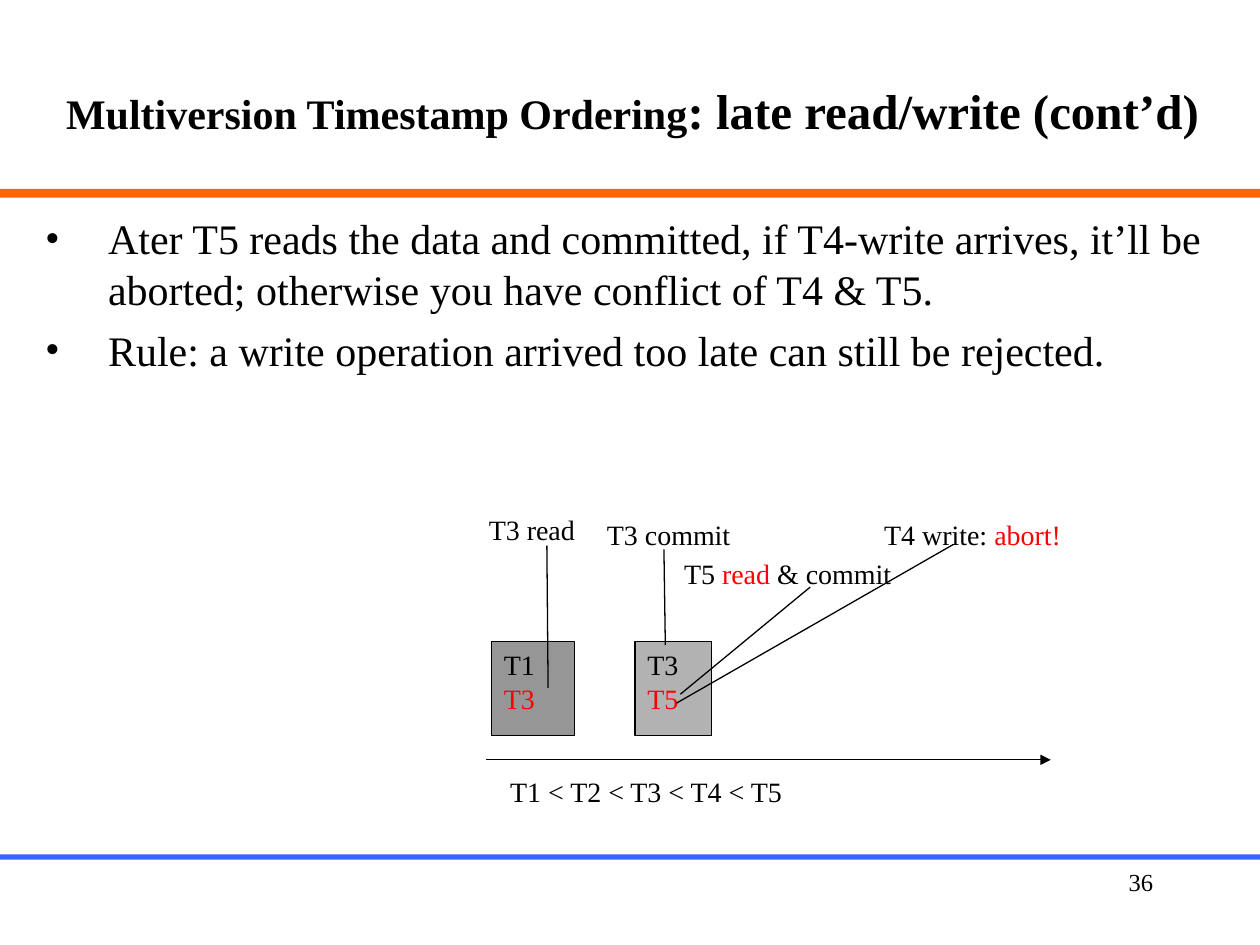
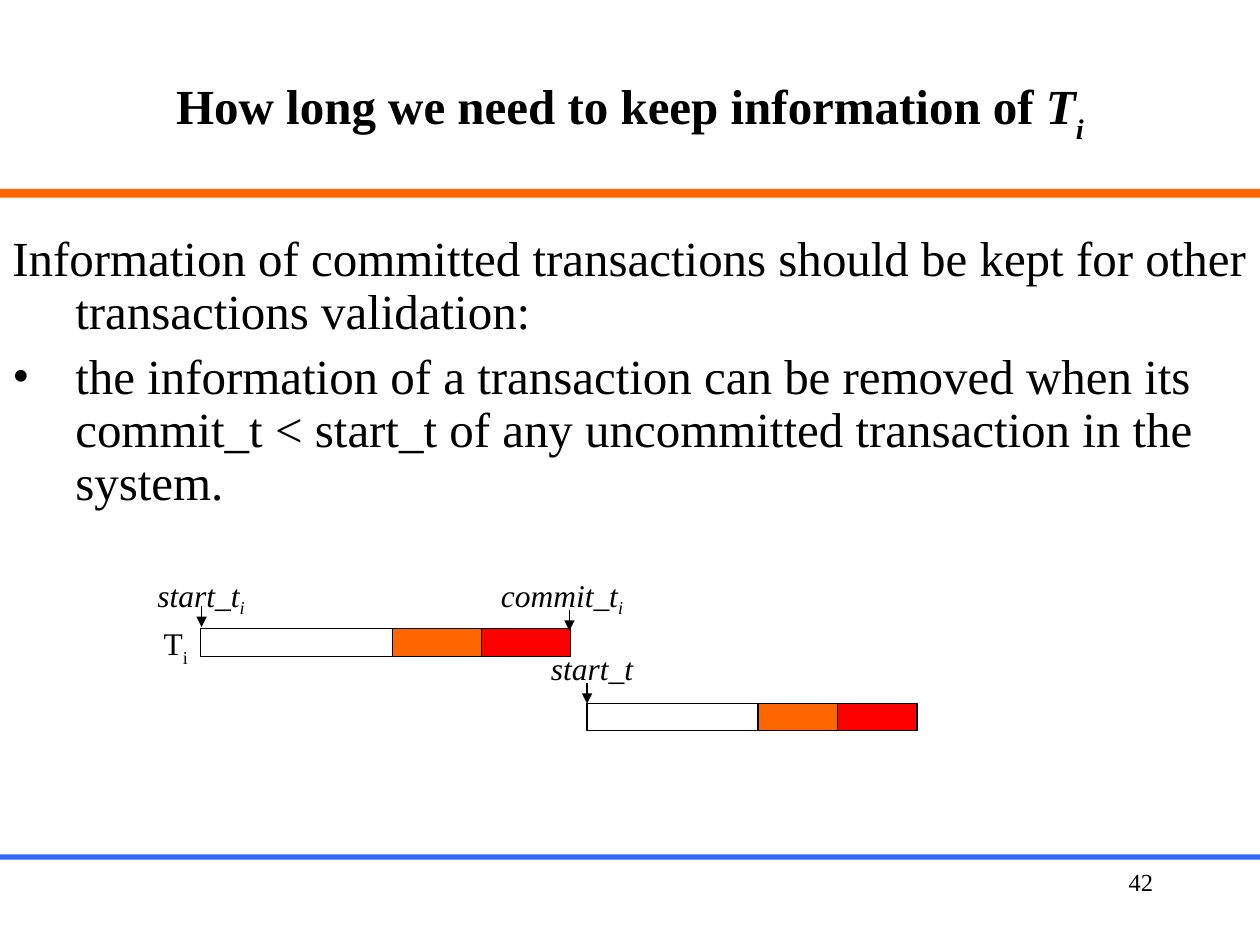
from lxml.etree import SubElement
from pptx import Presentation
from pptx.dml.color import RGBColor
from pptx.enum.shapes import MSO_CONNECTOR, MSO_SHAPE
from pptx.enum.text import MSO_ANCHOR, PP_ALIGN
from pptx.oxml.ns import qn
from pptx.util import Pt

COLORS = {
    "text": "000000",
    "orange": "FF6600",
    "blue": "3366FF",
    "red": "FF0000",
    "dark_gray": "969696",
    "light_gray": "B2B2B2",
}
FONT = "Times New Roman"
RED = {"color": "red"}


def rgb(name):
    return RGBColor.from_string(COLORS[name])


def add_run(p, text, size=16, color="text", bold=False, italic=False, base=0):
    r = p.add_run()
    r.text = text
    r.font.name = FONT
    r.font.size = Pt(size)
    r.font.bold = bold
    r.font.italic = italic
    r.font.color.rgb = rgb(color)
    if base:
        r._r.get_or_add_rPr().set("baseline", str(base * 1000))


def set_indent(p, indent, bullet):
    pPr = p._p.get_or_add_pPr()
    pPr.set("marL", str(Pt(indent)))
    pPr.set("indent", str(-Pt(indent)))
    if bullet:
        SubElement(pPr, qn("a:buFont")).set("typeface", FONT)
        SubElement(pPr, qn("a:buChar")).set("char", "•")
    else:
        SubElement(pPr, qn("a:buNone"))


def write(tf, paragraphs, align=PP_ALIGN.LEFT, anchor=MSO_ANCHOR.TOP, wrap=True,
          indent=0, bullets=(), before=0, spacing=None, **fmt):
    """Each paragraph is a string or a list of (text, run format) pairs."""
    tf.word_wrap = wrap
    tf.vertical_anchor = anchor
    for i, runs in enumerate(paragraphs):
        p = tf.paragraphs[0] if i == 0 else tf.add_paragraph()
        p.alignment = align
        if indent:
            set_indent(p, indent, i in bullets)
        if i and before:
            p.space_before = Pt(before)
        if spacing:
            p.line_spacing = spacing
        for text, extra in [(runs, {})] if isinstance(runs, str) else runs:
            add_run(p, text, **{**fmt, **extra})


def add_text(s, box, paragraphs, **fmt):
    tb = s.shapes.add_textbox(*map(Pt, box))
    write(tb.text_frame, paragraphs, **fmt)


def add_rect(s, box, fill=None, line=True):
    sp = s.shapes.add_shape(MSO_SHAPE.RECTANGLE, *map(Pt, box))
    sp.shadow.inherit = False
    if fill:
        sp.fill.solid()
        sp.fill.fore_color.rgb = rgb(fill)
    else:
        sp.fill.background()
    if line:
        sp.line.color.rgb = rgb("text")
        sp.line.width = Pt(0.75)
    else:
        sp.line.fill.background()
    return sp


def add_line(s, x1, y1, x2, y2, arrow=False):
    c = s.shapes.add_connector(MSO_CONNECTOR.STRAIGHT, Pt(x1), Pt(y1), Pt(x2), Pt(y2))
    c.line.color.rgb = rgb("text")
    c.line.width = Pt(0.75)
    if arrow:
        SubElement(c.line._get_or_add_ln(), qn("a:tailEnd")).set("type", "triangle")
    SubElement(c._element.spPr, qn("a:effectLst"))


def add_frame(prs, title, title_box, number):
    """Blank slide with title, two bands and page number."""
    s = prs.slides.add_slide(prs.slide_layouts[6])
    add_rect(s, (0, 108, 720, 5), "orange", line=False)
    add_rect(s, (0, 488.2, 720, 3), "blue", line=False)
    add_text(s, (516.2, 491.8, 149.8, 36), [number], size=14, align=PP_ALIGN.RIGHT)
    add_text(s, title_box, [title], size=28, bold=True,
             align=PP_ALIGN.CENTER, anchor=MSO_ANCHOR.MIDDLE)
    return s


def version_diagram(s, left, top):
    # Versions: writer above, latest reader below
    for x, w, fill, writer, reader in (
        (10.8, 47.5, "dark_gray", "T1", "T3"),
        (92.9, 43.9, "light_gray", "T3", "T5"),
    ):
        sp = add_rect(s, (left + x, top + 78.5, w, 54), fill)
        write(sp.text_frame, [writer, [(reader, RED)]])

    # Time axis
    add_line(s, left + 7.9, top + 146.2, left + 330.5, top + 146.2, arrow=True)

    # Operations and timestamp order
    for x, y, w, label in (
        (2.2, 1.4, 73.4, "T3 read"),
        (69.8, 4.3, 93.6, "T3 commit"),
        (113.8, 26.6, 144.7, [("T5 ", {}), ("read", RED), (" & commit", {})]),
        (228.2, 4.3, 127.4, [("T4 write: ", {}), ("abort!", RED)]),
        (14.4, 151.2, 252.7, "T1 < T2 < T3 < T4 < T5"),
    ):
        add_text(s, (left + x, top + y, w, 31), [label])

    # Links from operations to versions
    for x1, y1, x2, y2 in (
        (42.5, 23.8, 43.2, 105.1),
        (109.4, 25.9, 110.2, 80.6),
        (118.8, 108.7, 193, 47.5),
        (116.6, 113.8, 275, 23),
    ):
        add_line(s, left + x1, top + y1, left + x2, top + y2)


def phase_bar(s, left, top, width):
    for share, fill in ((0.518, None), (0.241, "orange"), (0.241, "red")):
        add_rect(s, (left, top, width * share, 15.8), fill)
        left += width * share


def lifetime_diagram(s, left, top):
    # Transaction bars
    phase_bar(s, left + 48.5, top + 34.3, 211.7)
    phase_bar(s, left + 269.5, top + 76.8, 188.6)

    # Time marks
    sub = ("i", {"base": -25})
    for x, y, label in (
        (0, 0.4, [("start_t", {}), sub]),
        (206.2, 0.4, [("commit_t", {}), sub]),
        (223.4, 42.2, [("start_t", {})]),
    ):
        add_text(s, (left + x, top + y, 97.9, 31), [label],
                 size=18, italic=True, align=PP_ALIGN.CENTER)
    for x, y in ((49.2, 21.3), (259.4, 23.5), (269.5, 65.2)):
        add_line(s, left + x, top + y, left + x, top + y + 12, arrow=True)

    # Transaction name
    add_text(s, (left + 20.4, top + 27.8, 28.1, 33.1),
             [[("T", {}), ("i", {"base": -30})]],
             size=18, align=PP_ALIGN.CENTER, wrap=False)


def late_write_slide(prs):
    title = [("Multiversion Timestamp Ordering", {"size": 24}),
             (": late read/write (cont’d)", {})]
    s = add_frame(prs, title, (13.7, 18, 695.5, 90), "36")
    add_text(s, (18.7, 118.1, 676.8, 144.7), [
        "Ater T5 reads the data and committed, if T4-write arrives, it’ll be "
        "aborted; otherwise you have conflict of T4 & T5.",
        "Rule: a write operation arrived too late can still be rejected.",
    ], size=24, indent=36, bullets=(0, 1), before=6)
    version_diagram(s, 270, 288)


def keep_information_slide(prs):
    title = [("How long we need to keep information of ", {}),
             ("T", {"italic": True}), ("i", {"italic": True, "base": -30})]
    s = add_frame(prs, title, (54, 18, 612, 90), "42")
    add_text(s, (0, 130.3, 720, 208.8), [
        "Information of committed transactions should be kept for other "
        "transactions validation:",
        "the information of a transaction can be removed when its "
        "commit_t < start_t of any uncommitted transaction in the system.",
    ], size=28, indent=36, bullets=(1,), before=7, spacing=0.9)
    lifetime_diagram(s, 66, 325)


def main():
    prs = Presentation()
    prs.slide_width, prs.slide_height = Pt(720), Pt(540)
    late_write_slide(prs)
    keep_information_slide(prs)
    prs.save("out.pptx")


if __name__ == "__main__":
    main()
